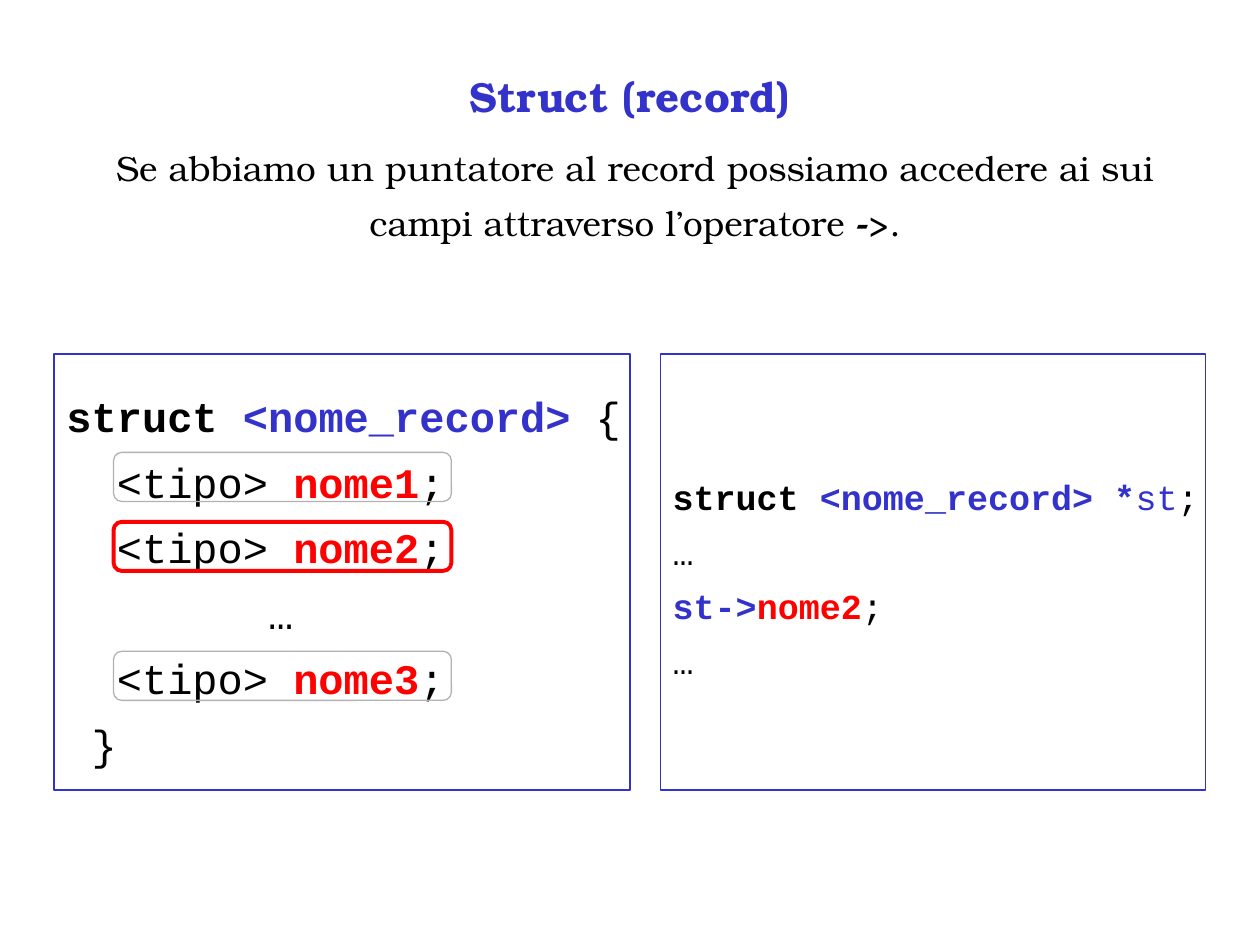
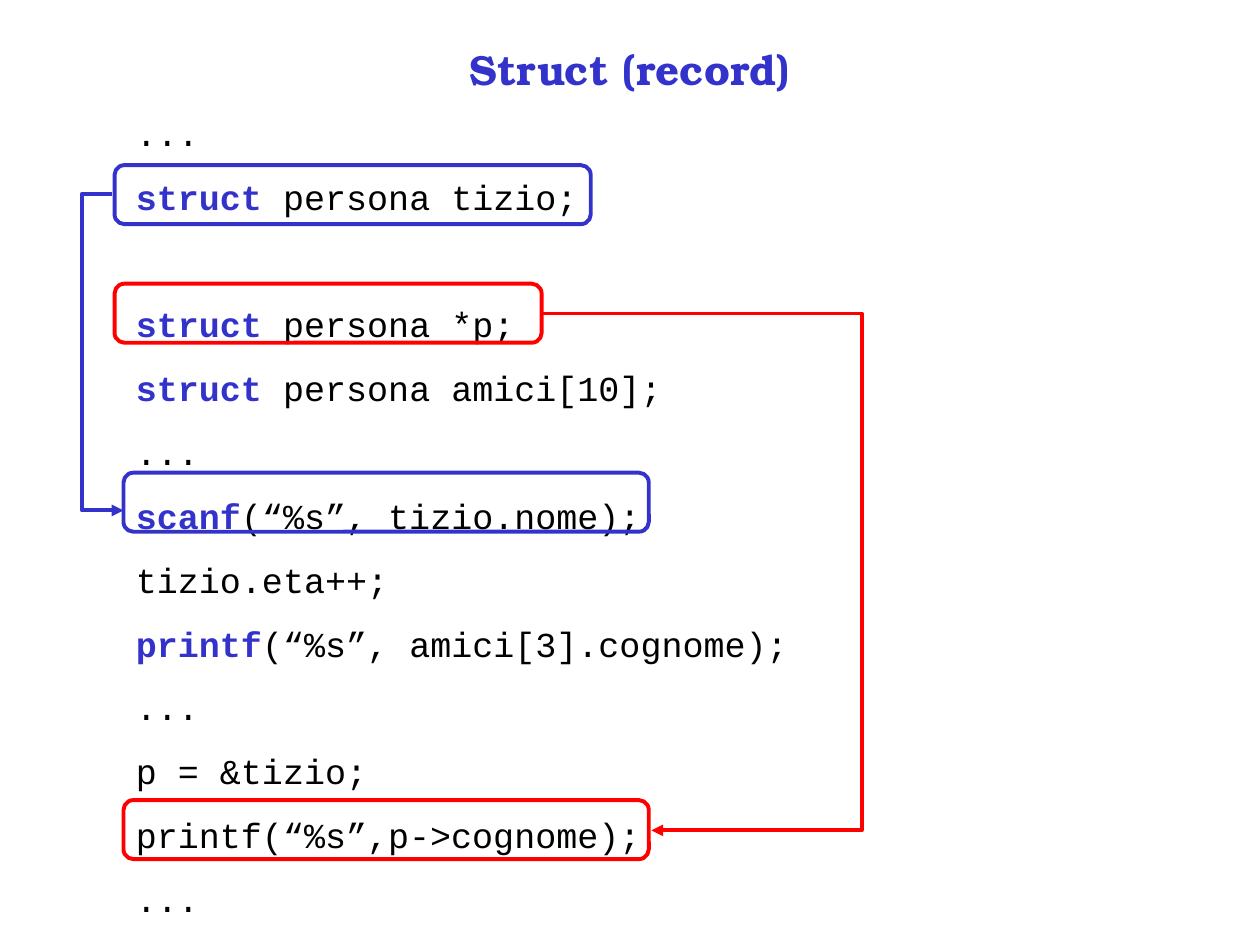
"""Two slides on reaching the fields of a C struct through a pointer."""
from lxml.etree import SubElement
from pptx import Presentation
from pptx.dml.color import RGBColor
from pptx.enum.shapes import MSO_CONNECTOR, MSO_SHAPE
from pptx.enum.text import MSO_ANCHOR, PP_ALIGN
from pptx.oxml.ns import qn
from pptx.util import Cm, Pt

HUES = {"ink": "000000", "blue": "3333CC", "red": "FF0000",
        "gray": "B2B2B2", "white": "FFFFFF"}
SERIF, MONO = "TeX Gyre Bonum", "Courier New"
TITLE = "Struct (record)"

PLAIN, BOLD = ("ink", False), ("ink", True)
KEY, NAME, VAR = ("blue", True), ("red", True), ("blue", False)

INTRO = [
    [("Se abbiamo un puntatore al record possiamo accedere ai sui", PLAIN)],
    [("campi attraverso l’operatore ", PLAIN), ("-", BOLD), (">.", PLAIN)],
]


def field(name):
    """Return the code line that declares one field."""
    return [("  <tipo> ", PLAIN), (name, NAME), (";", PLAIN)]


RECORD = [
    [("struct ", BOLD), ("<nome_record>", KEY), (" {", PLAIN)],
    field("nome1"),
    field("nome2"),
    [("        …", PLAIN)],
    field("nome3"),
    [(" }", PLAIN)],
]
ACCESS = [
    [("struct ", BOLD), ("<nome_record> *", KEY), ("st", VAR), (";", PLAIN)],
    [("…", PLAIN)],
    [("st->", KEY), ("nome2", NAME), (";", PLAIN)],
    [("…", PLAIN)],
]
CODE = [
    [("...", PLAIN)],
    [("struct", KEY), (" persona tizio;", PLAIN)],
    [("struct", KEY), (" persona *p;", PLAIN)],
    [("struct", KEY), (" persona amici[10];", PLAIN)],
    [("...", PLAIN)],
    [("scanf", KEY), ("(“%s”, tizio.nome);", PLAIN)],
    [("tizio.eta++;", PLAIN)],
    [("printf", KEY), ("(“%s”, amici[3].cognome);", PLAIN)],
    [("...", PLAIN)],
    [("p = &tizio;", PLAIN)],
    [("printf(“%s”,p->cognome);", PLAIN)],
    [("...", PLAIN)],
]
POINTER_ROW = 2

PANELS = [(1.09, 11.61, RECORD, 24), (13.31, 11, ACCESS, 20)]
FIELDS = [(9.12, "gray", 0.75), (10.52, "red", 2.25), (13.13, "gray", 0.75)]
MARKS = [(2.31, 3.33, 9.6, "blue"), (2.49, 9.53, 10.59, "blue"),
         (2.31, 5.72, 8.61, "red"), (2.49, 16.13, 10.59, "red")]
LINKS = [((2.26, 3.91), (2.49, 10.29), 1.65, "blue"),
         ((10.95, 6.32), (13.13, 16.74), 17.37, "red")]


def hue(name):
    """Return the named colour."""
    return RGBColor.from_string(HUES[name])


def write(frame, rows, font, size, align=PP_ALIGN.LEFT, lead=None, gap=0):
    """Fill a text frame with rows of styled runs."""
    for i, row in enumerate(rows):
        para = frame.add_paragraph() if i else frame.paragraphs[0]
        para.alignment = align
        if lead:
            para.line_spacing = lead
        para.space_before = Pt(gap if i else 0)
        para.font.name, para.font.size = font, Pt(size)
        for text, (tint, bold) in row:
            run = para.add_run()
            run.text = text
            run.font.bold = bold
            run.font.color.rgb = hue(tint)


def start(deck, top):
    """Add a slide with its title at the given height."""
    slide = deck.slides.add_slide(deck.slide_layouts[5])
    title = slide.shapes.title
    title.left, title.top, title.width, title.height = map(
        Cm, (1.9, top, 21.6, 1.7))
    title.text_frame.vertical_anchor = MSO_ANCHOR.MIDDLE
    write(title.text_frame, [[(TITLE, KEY)]], SERIF, 24, PP_ALIGN.CENTER)
    return slide


def text(slide, box):
    """Add a wrapping text box and return its frame."""
    frame = slide.shapes.add_textbox(*map(Cm, box)).text_frame
    frame.word_wrap = True
    return frame


def frame(slide, kind, box, tint, width, fill=None):
    """Add an outlined shape."""
    shape = slide.shapes.add_shape(kind, *map(Cm, box))
    shape.shadow.inherit = False
    shape.line.color.rgb = hue(tint)
    shape.line.width = Pt(width)
    if fill:
        shape.fill.solid()
        shape.fill.fore_color.rgb = hue(fill)
    else:
        shape.fill.background()
    return shape


def link(slide, tail, head, turn, tint):
    """Add an elbow arrow whose upright part stands at turn."""
    line = slide.shapes.add_connector(
        MSO_CONNECTOR.ELBOW, *map(Cm, tail + head))
    line.line.color.rgb = hue(tint)
    line.line.width = Pt(2.25)
    props = line._element.spPr
    SubElement(props.find(qn("a:ln")), qn("a:tailEnd"), type="triangle")
    SubElement(props, qn("a:effectLst"))
    bend = round((turn - tail[0]) / (head[0] - tail[0]) * 100000)
    guides = props.find(qn("a:prstGeom")).get_or_add_avLst()
    SubElement(guides, qn("a:gd"), name="adj1", fmla=f"val {bend}")


def main():
    """Build and save the deck."""
    deck = Presentation()
    deck.slide_width, deck.slide_height = Cm(25.4), Cm(19.05)

    slide = start(deck, 1.07)
    write(text(slide, (0.84, 2.74, 23.93, 3.18)), INTRO, SERIF, 20,
          PP_ALIGN.CENTER, 1.1, 5)
    for left, width, rows, size in PANELS:
        panel = frame(slide, MSO_SHAPE.RECTANGLE, (left, 7.14, width, 8.79),
                      "blue", 0.75, "white")
        panel.text_frame.word_wrap = False
        panel.text_frame.vertical_anchor = MSO_ANCHOR.MIDDLE
        write(panel.text_frame, rows, MONO, size, lead=1.3)
    for top, tint, width in FIELDS:
        frame(slide, MSO_SHAPE.ROUNDED_RECTANGLE, (2.29, top, 6.81, 0.99),
              tint, width)

    slide = start(deck, 0.53)
    code = text(slide, (2.49, 2.13, 20.22, 16.56))
    write(code, CODE, MONO, 20, gap=12.5)
    code.paragraphs[POINTER_ROW].space_before = Pt(48.5)
    for left, top, width, tint in MARKS:
        frame(slide, MSO_SHAPE.ROUNDED_RECTANGLE, (left, top, width, 1.19),
              tint, 2.25)
    for tail, head, turn, tint in LINKS:
        link(slide, tail, head, turn, tint)

    deck.save("out.pptx")


if __name__ == "__main__":
    main()
